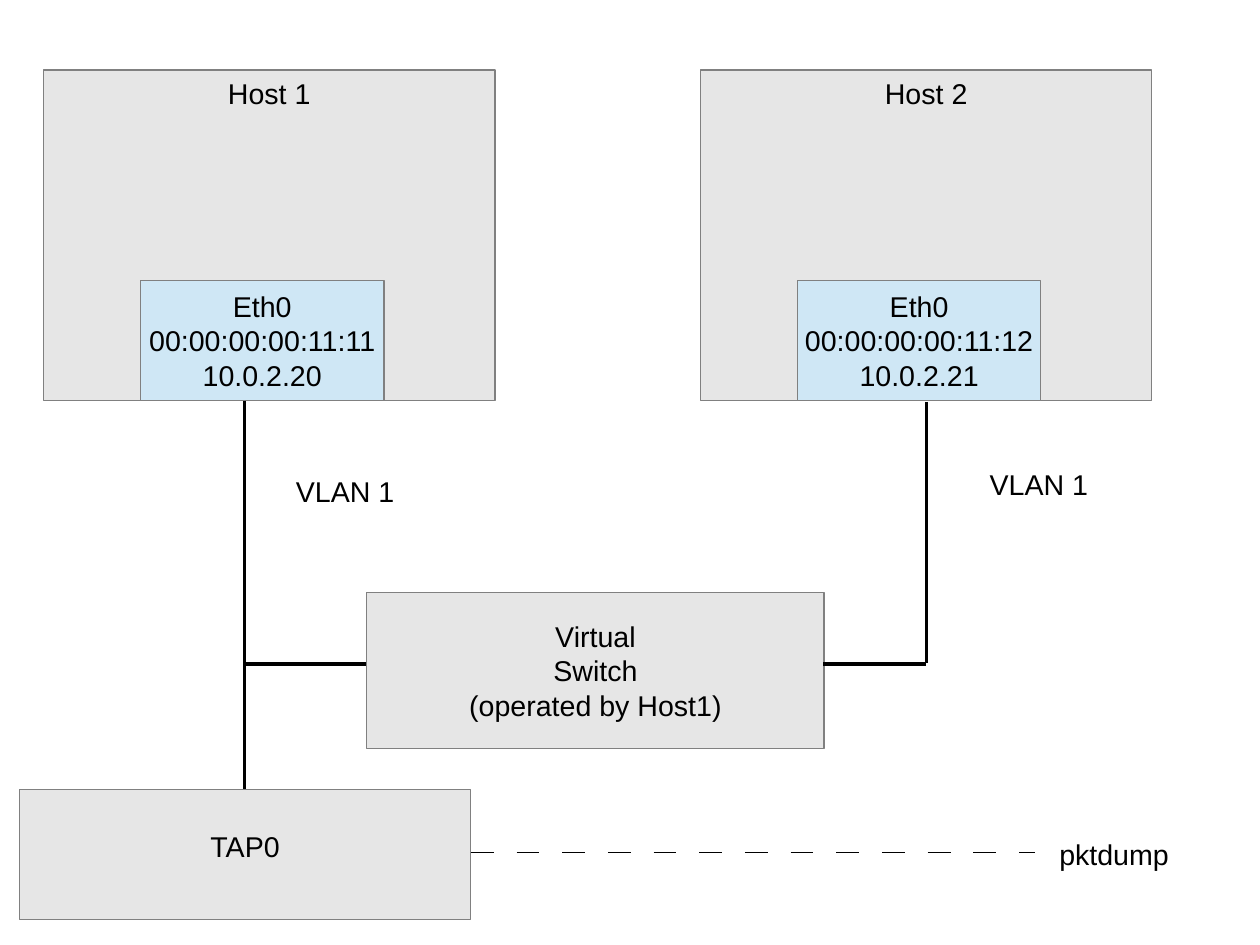
from dataclasses import dataclass

from lxml.etree import SubElement
from pptx import Presentation
from pptx.dml.color import RGBColor
from pptx.enum.shapes import MSO_CONNECTOR, MSO_SHAPE
from pptx.enum.text import MSO_ANCHOR, PP_ALIGN
from pptx.oxml.ns import qn
from pptx.slide import Slide
from pptx.text.text import TextFrame
from pptx.util import Pt

GREY = "E6E6E6"
BLUE = "CFE7F5"
EDGE = "808080"
BLACK = "000000"
FONT = "Arial"
SIZE = 18
THIN = 0.5
DASH = 14.1
HOST_GAP = 413.8


@dataclass
class Box:
    text: str
    left: float
    top: float
    width: float
    height: float
    fill: str = GREY
    anchor: MSO_ANCHOR = MSO_ANCHOR.MIDDLE
    inset: float = 3.6


@dataclass
class Label:
    text: str
    left: float
    top: float
    width: float = 151.9
    height: float = 27.4


@dataclass
class Wire:
    x1: float
    y1: float
    x2: float
    y2: float
    dashed: bool = False


def color(code: str) -> RGBColor:
    return RGBColor.from_string(code)


def set_text(frame: TextFrame, text: str, align: PP_ALIGN) -> None:
    frame.text = text
    for para in frame.paragraphs:
        para.alignment = align
        for run in para.runs:
            run.font.name = FONT
            run.font.size = Pt(SIZE)
            run.font.color.rgb = color(BLACK)


def draw_box(slide: Slide, box: Box) -> None:
    shape = slide.shapes.add_shape(
        MSO_SHAPE.RECTANGLE,
        Pt(box.left), Pt(box.top), Pt(box.width), Pt(box.height))
    shape.shadow.inherit = False
    shape.fill.solid()
    shape.fill.fore_color.rgb = color(box.fill)
    shape.line.color.rgb = color(EDGE)
    shape.line.width = Pt(0)
    frame = shape.text_frame
    frame.word_wrap = False
    frame.vertical_anchor = box.anchor
    frame.margin_top = Pt(box.inset)
    set_text(frame, box.text, PP_ALIGN.CENTER)


def draw_label(slide: Slide, label: Label) -> None:
    shape = slide.shapes.add_textbox(
        Pt(label.left), Pt(label.top), Pt(label.width), Pt(label.height))
    shape.text_frame.word_wrap = True
    set_text(shape.text_frame, label.text, PP_ALIGN.LEFT)


def draw_wire(slide: Slide, wire: Wire) -> None:
    line = slide.shapes.add_connector(
        MSO_CONNECTOR.STRAIGHT,
        Pt(wire.x1), Pt(wire.y1), Pt(wire.x2), Pt(wire.y2))
    line.line.color.rgb = color(BLACK)
    line.line.width = Pt(THIN if wire.dashed else 0)
    props = line.element.spPr
    if wire.dashed:
        share = str(round(DASH / THIN * 100000))
        dashes = SubElement(props.find(qn("a:ln")), qn("a:custDash"))
        SubElement(dashes, qn("a:ds"), d=share, sp=share)
    SubElement(props, qn("a:effectLst"))


def main() -> None:
    deck = Presentation()
    deck.slide_width = Pt(793.7)
    deck.slide_height = Pt(595.28)
    slide = deck.slides.add_slide(deck.slide_layouts[6])

    boxes: list[Box] = []
    for index in range(2):
        shift = index * HOST_GAP
        boxes += [
            Box(f"Host {index + 1}", 27.4, 44.1, 284.4, 208.1,
                anchor=MSO_ANCHOR.TOP),
            Box(f"Eth0\n00:00:00:00:11:1{index + 1}\n10.0.2.2{index}",
                88.5, 176.8, 153.4, 75.4, BLUE),
        ]
        for box in boxes[-2:]:
            box.left += shift
    boxes += [
        Box("Virtual\vSwitch\n(operated by Host1)", 231.1, 373.3, 288, 98.2),
        Box("TAP0", 12.2, 497.3, 284.4, 82.1,
            anchor=MSO_ANCHOR.TOP, inset=24.6),
    ]
    wires = [
        Wire(154.1, 252.4, 154.1, 497.3),
        Wire(154.1, 418.3, 230.8, 418.3),
        Wire(583.4, 253.1, 583.4, 417.8),
        Wire(518.6, 418.3, 583.4, 418.3),
        Wire(296.6, 537, 652.3, 537, dashed=True),
    ]
    labels = [
        Label("VLAN 1", 179.3, 295.2),
        Label("VLAN 1", 616.3, 290.7),
        Label("pktdump", 660.2, 523.4, 133),
    ]
    for box in boxes:
        draw_box(slide, box)
    for wire in wires:
        draw_wire(slide, wire)
    for label in labels:
        draw_label(slide, label)
    deck.save("out.pptx")


if __name__ == "__main__":
    main()
